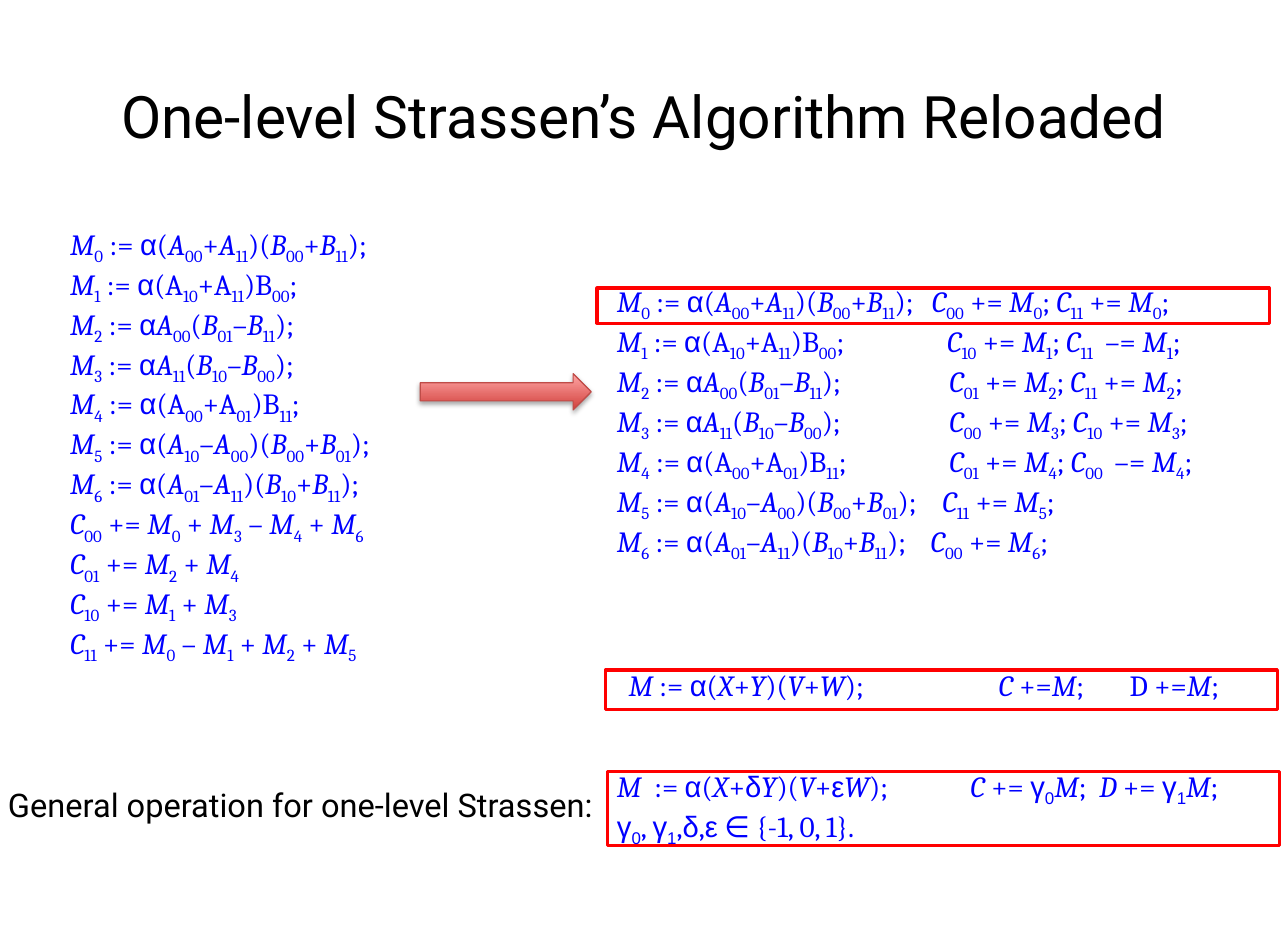
from itertools import groupby
from pptx import Presentation
from pptx.dml.color import RGBColor
from pptx.enum.shapes import MSO_SHAPE
from pptx.enum.text import MSO_ANCHOR, PP_ALIGN
from pptx.oxml import parse_xml
from pptx.oxml.ns import nsdecls
from pptx.util import Inches, Pt

rgb = RGBColor.from_string
BLUE, RED, BLACK = "0000FF", "FF0000", "000000"

prs = Presentation()
prs.slide_width, prs.slide_height = Inches(11), Inches(8)
s = prs.slides.add_slide(prs.slide_layouts[5])


def cells(*numbers):
    """Convert columns and rows of a 110 x 80 grid to slide lengths."""
    return [round(n * prs.slide_width / 110) for n in numbers]


def add_formulas(area, lines):
    """Write (text, tab stops) lines: _ starts a subscript, ' keeps a letter upright."""
    tf = s.shapes.add_textbox(*cells(*area)).text_frame
    tf.word_wrap = True
    for i, (text, stops) in enumerate(lines):
        p = tf.paragraphs[0] if i == 0 else tf.add_paragraph()
        if stops:
            tabs = "".join(f'<a:tab pos="{pos}" algn="l"/>' for pos in cells(*stops))
            p._p.get_or_add_pPr().append(
                parse_xml(f'<a:tabLst {nsdecls("a")}>{tabs}</a:tabLst>'))
        p.font.size, p.font.color.rgb = Pt(18), rgb(BLUE)
        styled, font, sub, upright = [], "Cambria", False, False
        for ch in text:
            if ch == "_":
                sub = True
            elif ch == "'":
                upright = True
            else:
                sub = sub and ch.isdigit()
                if not sub:
                    font = "Arial" if ch in "αγδε" else "Calibri" if ch == "∈" else "Cambria"
                styled.append((ch, (font, sub, "A" <= ch <= "Z" and not upright)))
                upright = False
        for (font, is_sub, italic), chars in groupby(styled, lambda item: item[1]):
            r = p.add_run()
            r.text = "".join(ch for ch, _ in chars)
            r.font.name, r.font.italic = font, italic
            if is_sub:
                r._r.get_or_add_rPr().set("baseline", "-25000")


# Title
title = s.shapes.title
title.left, title.top, title.width, title.height = cells(5.5, 3.2, 99, 13.3)
tf = title.text_frame
tf.text = "One-level Strassen’s Algorithm Reloaded"
tf.vertical_anchor = MSO_ANCHOR.MIDDLE
p = tf.paragraphs[0]
p.alignment = PP_ALIGN.CENTER
p.font.name, p.font.size, p.font.color.rgb = "Roboto", Pt(36), rgb(BLACK)

# Both versions of the algorithm
products = [
    "M_0 := α(A_00+A_11)(B_00+B_11);",
    "M_1 := α('A_10+'A_11)'B_00;",
    "M_2 := αA_00(B_01–B_11);",
    "M_3 := αA_11(B_10–B_00);",
    "M_4 := α('A_00+'A_01)'B_11;",
    "M_5 := α(A_10–A_00)(B_00+B_01);",
    "M_6 := α(A_01–A_11)(B_10+B_11);",
]
sums = [
    "C_00 += M_0 + M_3 – M_4 + M_6",
    "C_01 += M_2 + M_4",
    "C_10 += M_1 + M_3",
    "C_11 += M_0 – M_1 + M_2 + M_5",
]
updates = [
    ("C_00 += M_0; C_11 += M_0;", [26.9]),
    ("C_10 += M_1; C_11\t–= M_1;", [28.2, 41.7]),
    ("C_01 += M_2; C_11 += M_2;", [28.4]),
    ("C_00 += M_3; C_10 += M_3;", [28.4]),
    ("C_01 += M_4; C_00\t–= M_4;", [28.4, 42.5]),
    ("C_11 += M_5;", [27.8]),
    ("C_00 += M_6;", [26.8]),
]
add_formulas((5, 18.8, 33.7, 47.5), [(line, []) for line in products + sums])
add_formulas((51.7, 23.7, 58, 38.4),
             [(f"{product}\t{update}", stops)
              for product, (update, stops) in zip(products, updates)])

# General operation
add_formulas((51.6, 56.5, 58, 4),
             [("\tM := α(X+Y)(V+W);\tC +=M;\t'D +=M;", [1.1, 32.7, 43.9])])
add_formulas((51.7, 65.1, 58, 7.1),
             [("M\t:= α(X+δY)(V+εW);\tC += γ_0M;\tD += γ_1M;", [3.2, 30.2, 41.2]),
              ("γ_0, γ_1,δ,ε ∈ {-1, 0, 1}.", [])])
tf = s.shapes.add_textbox(*cells(-0.3, 66.5, 57.6, 4.4)).text_frame
tf.word_wrap = True
p = tf.paragraphs[0]
p.text = "General operation for one-level Strassen:"
p.font.name, p.font.size, p.font.color.rgb = "Roboto", Pt(20), rgb(BLACK)

# Red frames
for left, top, height in [(51, 24.6, 3), (51.7, 57.2, 3.4), (51.9, 65.9, 6.3)]:
    frame = s.shapes.add_shape(MSO_SHAPE.RECTANGLE, *cells(left, top, 57.4, height))
    frame.shadow.inherit = False
    frame.fill.background()
    frame.line.color.rgb, frame.line.width = rgb(RED), Pt(2)

# Arrow between the versions
arrow = s.shapes.add_shape(MSO_SHAPE.RIGHT_ARROW, *cells(35.9, 31.9, 14.6, 3.1))
arrow.fill.gradient()
arrow.fill.gradient_angle = 90
for stop, color, position in zip(arrow.fill.gradient_stops, ("D1403C", "FFA6A5"), (0, 1)):
    stop.color.rgb, stop.position = rgb(color), position
arrow.line.color.rgb, arrow.line.width = rgb("BF4C48"), Pt(0.75)
arrow.shadow.inherit = False
arrow._element.spPr.effectLst.append(parse_xml(
    f'<a:outerShdw {nsdecls("a")} blurRad="{Pt(3.1)}" dist="{Pt(1.8)}" dir="5400000" '
    f'rotWithShape="0"><a:srgbClr val="{BLACK}"><a:alpha val="35000"/></a:srgbClr>'
    '</a:outerShdw>'))

prs.save("out.pptx")
